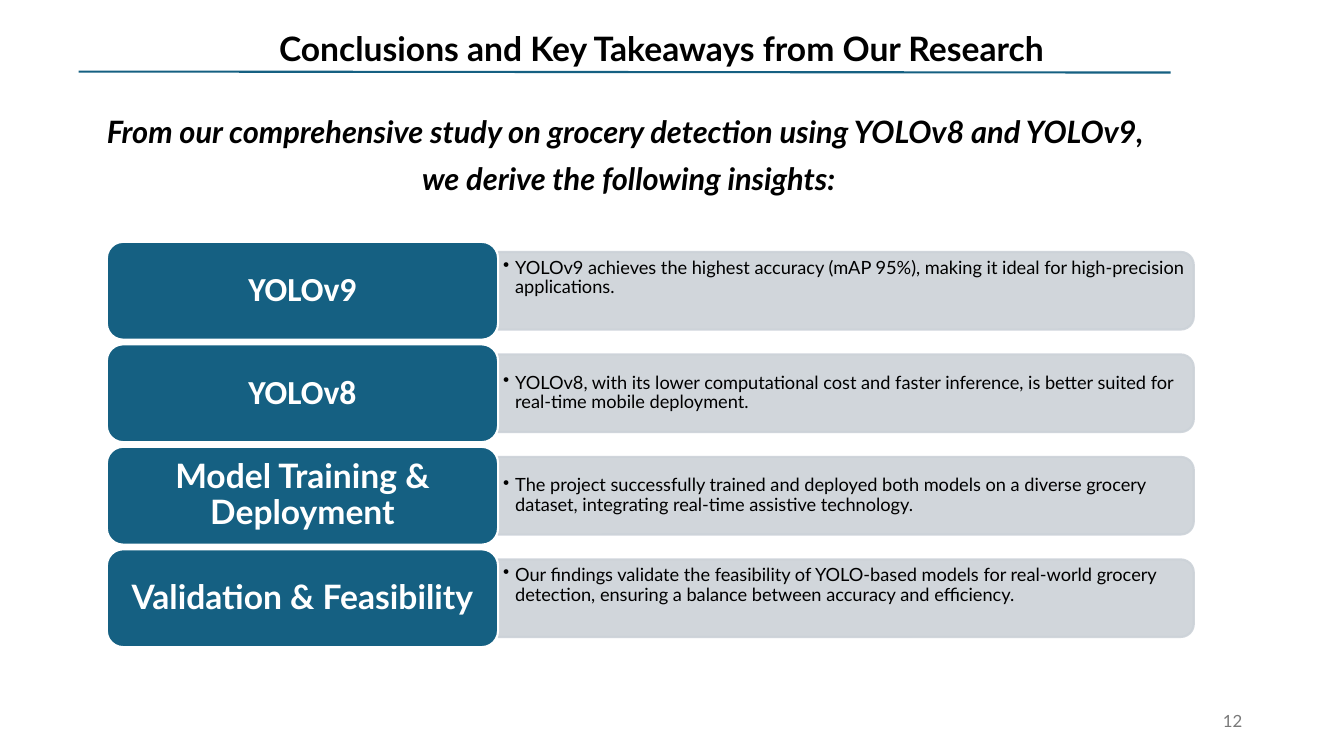
import pptx
import pptx.util
import pptx.dml.color
import pptx.enum.shapes
import pptx.enum.text
import pptx.oxml.ns

Inches, Pt = pptx.util.Inches, pptx.util.Pt
MSO_SHAPE = pptx.enum.shapes.MSO_SHAPE
ANCHOR = pptx.enum.text.MSO_ANCHOR
ALIGN = pptx.enum.text.PP_ALIGN
qn = pptx.oxml.ns.qn

COLORS = {"blue": "156082", "bar": "CCD2D8", "white": "FFFFFF",
          "black": "000000", "grey": "797979"}


class Deck:
    """Holds the style and the current slide."""

    def __init__(self, width, height):
        self.prs = pptx.Presentation()
        self.prs.slide_width, self.prs.slide_height = Inches(width), Inches(height)
        self.s = self.prs.slides.add_slide(self.prs.slide_layouts[6])

    def color(self, name):
        return pptx.dml.color.RGBColor.from_string(COLORS[name])

    def fill_text(self, sp, lines, size, color="black", font="Lato", bold=False,
                  italic=False, align=ALIGN.LEFT, anchor=ANCHOR.TOP, spacing=1.0,
                  before=0, bullet=False, insets=(0.1, 0.05)):
        tf = sp.text_frame
        tf.word_wrap = True
        tf.vertical_anchor = anchor
        tf.margin_left = tf.margin_right = Inches(insets[0])
        tf.margin_top = tf.margin_bottom = Inches(insets[1])
        for i, line in enumerate(lines):
            p = tf.add_paragraph() if i else tf.paragraphs[0]
            p.alignment, p.line_spacing = align, spacing
            if i:
                p.space_before = Pt(before)
            if bullet:
                pPr = p._p.get_or_add_pPr()
                pPr.set("marL", str(Inches(0.12)))
                pPr.set("indent", str(Inches(-0.12)))
                pPr.append(pPr.makeelement(qn("a:buChar"), {"char": "•"}))
            r = p.add_run()
            r.text = line
            r.font.name, r.font.size = font, Pt(size)
            r.font.bold, r.font.italic = bold, italic
            r.font.color.rgb = self.color(color)

    def text(self, x, y, w, h, lines, size, **style):
        sp = self.s.shapes.add_textbox(Inches(x), Inches(y), Inches(w), Inches(h))
        self.fill_text(sp, lines, size, **style)

    def shape(self, kind, x, y, w, h, fill, line, alpha=None):
        sp = self.s.shapes.add_shape(kind, Inches(x), Inches(y), Inches(w), Inches(h))
        sp.shadow.inherit = False
        sp.fill.solid()
        sp.fill.fore_color.rgb = self.color(fill)
        sp.line.color.rgb = self.color(line)
        sp.line.width = Pt(1.5)
        if alpha:
            for clr in sp._element.spPr.iter(qn("a:srgbClr")):
                clr.append(clr.makeelement(qn("a:alpha"), {"val": str(alpha * 1000)}))
        return sp

    def rule(self, x1, y1, x2, y2, color):
        ln = self.s.shapes.add_connector(
            pptx.enum.shapes.MSO_CONNECTOR.STRAIGHT,
            Inches(x1), Inches(y1), Inches(x2), Inches(y2))
        ln.line.color.rgb = self.color(color)
        ln.line.width = Pt(1.5)
        spPr = ln._element.spPr
        spPr.append(spPr.makeelement(qn("a:effectLst"), {}))

    def takeaway(self, y, label, font, finding, anchor):
        label_x, label_w, label_h = 1.06, 3.88, 0.97
        bar_x, bar_w, bar_h = label_x + label_w, 6.9, 0.77
        mid = y + label_h / 2
        # Bar turned a quarter so its rounded corners face right
        bar = self.shape(MSO_SHAPE.ROUND_2_SAME_RECTANGLE,
                         bar_x + (bar_w - bar_h) / 2, mid - bar_w / 2,
                         bar_h, bar_w, "bar", "bar", alpha=90)
        bar.rotation = 90
        self.text(bar_x, mid - 0.35, 6.86, 0.7, [finding], 13, anchor=anchor,
                  spacing=0.9, bullet=True, insets=(0.05, 0.03))
        box = self.shape(MSO_SHAPE.ROUNDED_RECTANGLE, label_x, y,
                         label_w, label_h, "blue", "white")
        self.fill_text(box, [label], 24, color="white", font=font, bold=True,
                       align=ALIGN.CENTER, anchor=ANCHOR.MIDDLE, spacing=0.9)


def main():
    deck = Deck(13.33, 7.5)

    # Title and introduction
    deck.text(1.55, 0.23, 10.02, 0.5,
              ["Conclusions and Key Takeaways from Our Research"], 24,
              bold=True, align=ALIGN.CENTER)
    deck.rule(0.78, 0.71, 11.61, 0.72, "blue")
    deck.text(0.39, 1.11, 11.69, 1.0,
              ["From our comprehensive study on grocery detection using "
               "YOLOv8 and YOLOv9, ",
               "we derive the following insights:"], 22, bold=True,
              italic=True, align=ALIGN.CENTER, spacing=0.9, before=10)

    # Takeaway rows
    rows = [
        ("YOLOv9", "Calibri", ANCHOR.TOP,
         "YOLOv9 achieves the highest accuracy (mAP 95%), making it ideal for "
         "high-precision applications."),
        ("YOLOv8", "Calibri", ANCHOR.MIDDLE,
         "YOLOv8, with its lower computational cost and faster inference, is "
         "better suited for real-time mobile deployment."),
        ("Model Training & Deployment", "Lato", ANCHOR.MIDDLE,
         "The project successfully trained and deployed both models on a "
         "diverse grocery dataset, integrating real-time assistive technology."),
        ("Validation & Feasibility", "Lato", ANCHOR.TOP,
         "Our findings validate the feasibility of YOLO-based models for "
         "real-world grocery detection, ensuring a balance between accuracy "
         "and efficiency."),
    ]
    pitch = 3.05 / (len(rows) - 1)
    for i, (label, font, anchor, finding) in enumerate(rows):
        deck.takeaway(2.4 + i * pitch, label, font, finding, anchor)

    # Page number
    deck.text(9.42, 6.95, 3, 0.4, ["12"], 12, color="grey",
              align=ALIGN.RIGHT, anchor=ANCHOR.MIDDLE)

    deck.prs.save("out.pptx")


if __name__ == "__main__":
    main()
